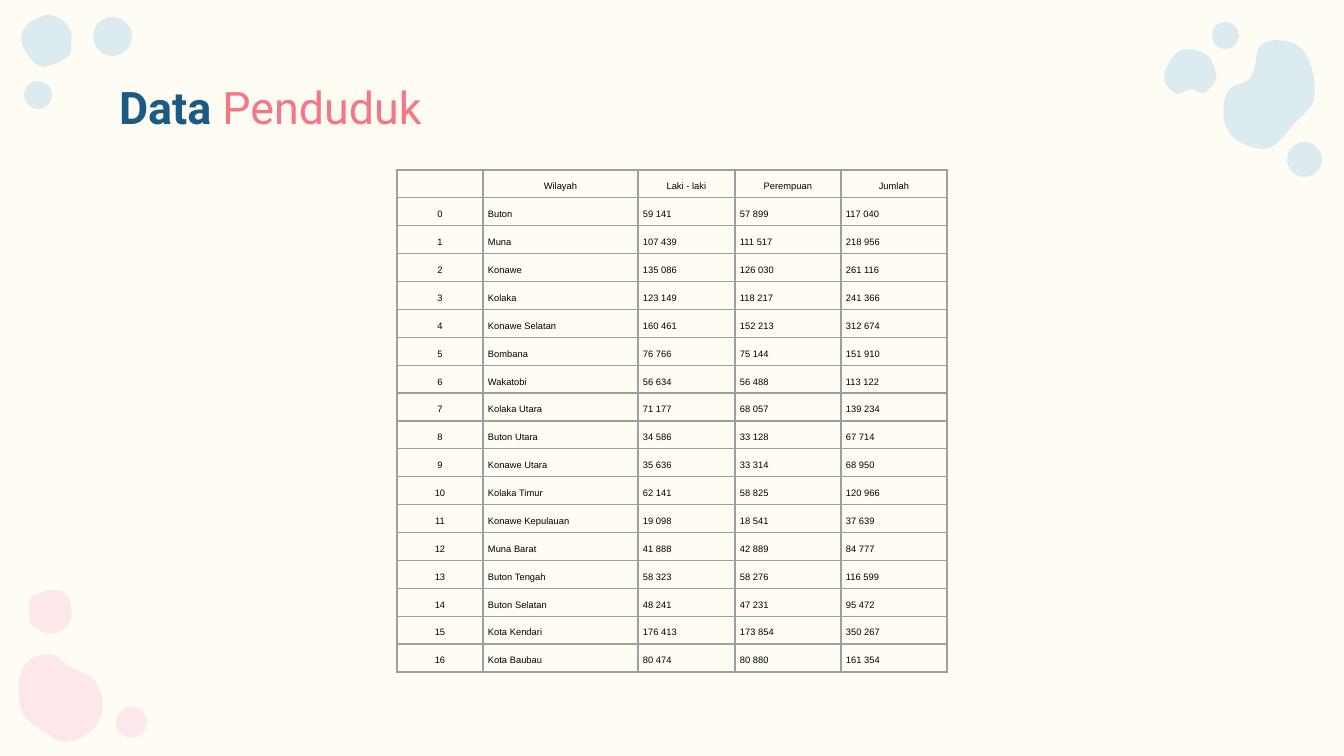
from lxml.etree import SubElement
from pptx import Presentation
from pptx.dml.color import RGBColor
from pptx.enum.shapes import MSO_SHAPE
from pptx.enum.text import MSO_ANCHOR, MSO_AUTO_SIZE, PP_ALIGN
from pptx.oxml.ns import qn
from pptx.util import Pt

PX = 9144000 / 1344
PINK = ("FDE7E9", 100)
BLUE = ("A0CFED", 36)
HEAD = ["", "Wilayah", "Laki - laki", "Perempuan", "Jumlah"]
ROWS = [
    ("Buton", "59 141", "57 899", "117 040"),
    ("Muna", "107 439", "111 517", "218 956"),
    ("Konawe", "135 086", "126 030", "261 116"),
    ("Kolaka", "123 149", "118 217", "241 366"),
    ("Konawe Selatan", "160 461", "152 213", "312 674"),
    ("Bombana", "76 766", "75 144", "151 910"),
    ("Wakatobi", "56 634", "56 488", "113 122"),
    ("Kolaka Utara", "71 177", "68 057", "139 234"),
    ("Buton Utara", "34 586", "33 128", "67 714"),
    ("Konawe Utara", "35 636", "33 314", "68 950"),
    ("Kolaka Timur", "62 141", "58 825", "120 966"),
    ("Konawe Kepulauan", "19 098", "18 541", "37 639"),
    ("Muna Barat", "41 888", "42 889", "84 777"),
    ("Buton Tengah", "58 323", "58 276", "116 599"),
    ("Buton Selatan", "48 241", "47 231", "95 472"),
    ("Kota Kendari", "176 413", "173 854", "350 267"),
    ("Kota Baubau", "80 474", "80 880", "161 354"),
]
# Corner groups: origin, tint, blobs (points on the edge), dots (x, y, size)
CORNERS = [
    ((18, 590), PINK,
     [[(29, 144), (49, 152), (73, 141), (85, 118), (76, 90),
       (52, 77), (36, 65), (13, 69), (1, 91), (5, 124)],
      [(53, 30), (52, 12), (44, 1), (28, 1), (13, 8),
       (11, 19), (13, 34), (22, 40), (32, 44), (44, 40)]],
     [(98, 117, 31)]),
    ((1164, 22), BLUE,
     [[(150, 77), (146, 41), (129, 21), (98, 22), (87, 55),
       (64, 69), (60, 98), (74, 119), (105, 126), (132, 100)],
      [(15, 29), (3, 45), (1, 60), (13, 72), (27, 67),
       (40, 71), (52, 57), (50, 45), (44, 34), (31, 28)]],
     [(123, 120, 35), (48, 0, 27)]),
    ((21, 15), BLUE,
     [[(26, 0), (7, 9), (0, 23), (6, 39), (18, 51),
       (31, 50), (48, 41), (50, 28), (50, 17), (41, 5)]],
     [(72, 2, 39), (3, 66, 28)]),
]


def emu(n):
    return round(n * PX)


def rgb(code):
    return RGBColor.from_string(code)


def style(font, **form):
    font.color.rgb = rgb(form.pop("color"))
    for key, val in form.items():
        setattr(font, key, val)


def tint(shape, code, alpha):
    shape.shadow.inherit = False
    shape.line.fill.background()
    shape.fill.solid()
    shape.fill.fore_color.rgb = rgb(code)
    if alpha < 100:
        clr = shape.fill._xPr.find(".//" + qn("a:srgbClr"))
        SubElement(clr, qn("a:alpha"), val=str(alpha * 1000))


def curve(shape):
    """Turn the straight sides of a closed outline into smooth curves."""
    route = shape._element.find(".//" + qn("a:path"))
    dots = [(int(pt.get("x")), int(pt.get("y")))
            for pt in route.iter(qn("a:pt"))]
    for node in list(route)[1:]:
        route.remove(node)
    size = len(dots)
    for i in range(size):
        quad = [dots[(i + k) % size] for k in (-1, 0, 1, 2)]
        out, back, end = zip(*((b + (c - a) / 6, c - (d - b) / 6, c)
                               for a, b, c, d in zip(*quad)))
        bend = SubElement(route, qn("a:cubicBezTo"))
        for x, y in (out, back, end):
            SubElement(bend, qn("a:pt"), x=str(round(x)), y=str(round(y)))
    SubElement(route, qn("a:close"))


def corner(slide, spot, color, blobs, dots):
    """Draw one group of drops and hand it to the layout."""
    left, top = spot
    group = slide.shapes.add_group_shape()
    for blob in blobs:
        edge = [(emu(left + x), emu(top + y)) for x, y in blob]
        free = group.shapes.build_freeform(*edge[0])
        free.add_line_segments(edge[1:], close=True)
        shape = free.convert_to_shape()
        curve(shape)
        tint(shape, *color)
    for x, y, size in dots:
        dot = group.shapes.add_shape(MSO_SHAPE.OVAL, emu(left + x),
                                     emu(top + y), emu(size), emu(size))
        tint(dot, *color)
    slide.slide_layout.shapes._spTree.append(group._element)


def decor(slide):
    for part in CORNERS:
        corner(slide, *part)
    tree = slide.slide_layout.shapes._spTree
    for i, node in enumerate(tree.iter(qn("p:cNvPr")), 1):
        node.set("id", str(i))


def title(slide, box):
    head = slide.shapes.title
    for key, val in zip(("left", "top", "width", "height"), box):
        setattr(head, key, emu(val))
    frame = head.text_frame
    form = {"word_wrap": True, "auto_size": MSO_AUTO_SIZE.NONE,
            "vertical_anchor": MSO_ANCHOR.TOP}
    form |= {"margin_" + side: emu(13)
             for side in ("left", "top", "right", "bottom")}
    for key, val in form.items():
        setattr(frame, key, val)
    para = frame.paragraphs[0]
    para.alignment = PP_ALIGN.LEFT
    for text, color, bold in (("Data ", "1B5A85", True),
                              ("Penduduk", "F47783", False)):
        run = para.add_run()
        run.text = text
        style(run.font, name="Roboto", size=Pt(24), bold=bold, color=color)


def border(cell, code, width):
    props = cell._tc.get_or_add_tcPr()
    for i, side in enumerate(("lnL", "lnR", "lnT", "lnB")):
        line = props.makeelement(qn("a:" + side), {"w": str(Pt(width))})
        fill = SubElement(line, qn("a:solidFill"))
        SubElement(fill, qn("a:srgbClr"), val=code)
        props.insert(i, line)


def write(cell, text, mid):
    cell.fill.background()
    cell.vertical_anchor = MSO_ANCHOR.MIDDLE
    for side in ("left", "top", "right", "bottom"):
        setattr(cell, "margin_" + side, emu(5))
    para = cell.text_frame.paragraphs[0]
    para.alignment = PP_ALIGN.CENTER if mid else PP_ALIGN.LEFT
    para.line_spacing = 1.5
    if text:
        run = para.add_run()
        run.text = text
        style(run.font, name="Arial", size=Pt(5), bold=False, color="000000")
    else:
        SubElement(para._p, qn("a:endParaRPr"), sz="500")
    border(cell, "9E9E9E", 0.75)


def grid(slide, box, cols):
    data = [HEAD] + [(str(i), *row) for i, row in enumerate(ROWS)]
    table = slide.shapes.add_table(len(data), len(cols),
                                   *map(emu, box)).table
    table.first_row = table.horz_banding = False
    for col, wide in zip(table.columns, cols):
        col.width = emu(wide)
    for r, row in enumerate(data):
        table.rows[r].height = emu(box[3] / len(data))
        for c, text in enumerate(row):
            write(table.cell(r, c), text, r == 0 or c == 0)


def main():
    deck = Presentation()
    deck.slide_width, deck.slide_height = emu(1344), emu(756)
    slide = deck.slides.add_slide(deck.slide_layouts[5])
    back = slide.background.fill
    back.solid()
    back.fore_color.rgb = rgb("FFFCF3")
    decor(slide)
    title(slide, (106, 67, 1133, 85))
    grid(slide, (397, 170, 550, 502), (86, 155, 97, 106, 106))
    deck.save("out.pptx")


if __name__ == "__main__":
    main()
